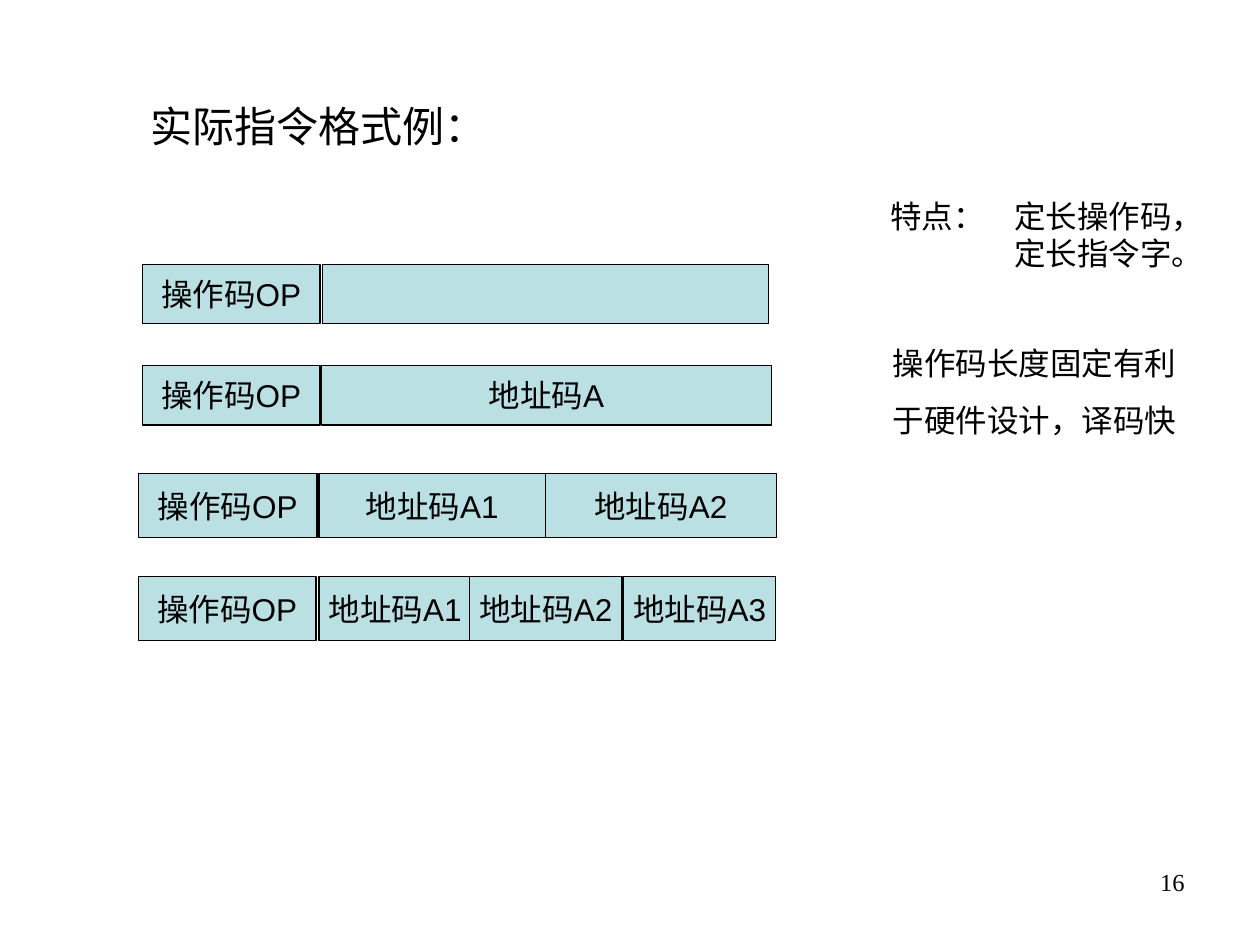
from lxml import etree
from pptx import Presentation
from pptx import util as u
from pptx.dml.color import RGBColor
from pptx.enum import shapes, text
from pptx.oxml.ns import qn

BLACK = RGBColor(0x00, 0x00, 0x00)
WHITE = RGBColor(0xFF, 0xFF, 0xFF)
PALE_TEAL = RGBColor(0xBB, 0xE0, 0xE3)

OPCODE = "操作码OP"
# Each format: top, height, then its fields as (left, width, label), in cm
FORMATS = [
    (5.33, 1.19, [(2.87, 3.58, OPCODE), (6.5, 8.99, "")]),
    (7.37, 1.2, [(2.87, 3.58, OPCODE), (6.48, 9.07, "地址码A")]),
    (9.54, 1.3, [(2.79, 3.6, OPCODE), (6.43, 4.57, "地址码A1"),
                 (11, 4.65, "地址码A2")]),
    (11.62, 1.3, [(2.79, 3.58, OPCODE), (6.43, 3.07, "地址码A1"),
                  (9.47, 3.07, "地址码A2"), (12.57, 3.07, "地址码A3")]),
]


class SlideBuilder:
    font = "Arial"
    size = 18

    def __init__(self, prs):
        self.s = prs.slides.add_slide(prs.slide_layouts[6])
        self.s.background.fill.solid()
        self.s.background.fill.fore_color.rgb = WHITE

    def add_lines(self, p, lines, size=None, font=None):
        """Add one run per line, with a line break between runs."""
        for i, line in enumerate(lines):
            if i:
                p.add_line_break()
            r = p.add_run()
            r.text = line
            r.font.size = u.Pt(size or self.size)
            r.font.name = font or self.font
            r.font.color.rgb = BLACK

    def text_box(self, left, top, width, height, *lines, size=None, font=None,
                 wrap=True, align=text.PP_ALIGN.LEFT, spacing=None, tab=None):
        box = self.s.shapes.add_textbox(*map(u.Cm, (left, top, width, height)))
        tf = box.text_frame
        tf.word_wrap = wrap
        p = tf.paragraphs[0]
        p.alignment = align
        if spacing:
            p.line_spacing = spacing
        if tab:
            tabs = etree.SubElement(p._p.get_or_add_pPr(), qn("a:tabLst"))
            etree.SubElement(tabs, qn("a:tab"), pos=str(u.Cm(tab)), algn="l")
        self.add_lines(p, lines, size, font)

    def field(self, left, top, width, height, label):
        sp = self.s.shapes.add_shape(shapes.MSO_SHAPE.RECTANGLE,
                                     *map(u.Cm, (left, top, width, height)))
        sp.shadow.inherit = False
        sp.fill.solid()
        sp.fill.fore_color.rgb = PALE_TEAL
        sp.line.color.rgb = BLACK
        sp.line.width = u.Pt(0.75)
        if label:
            tf = sp.text_frame
            tf.word_wrap = False
            tf.vertical_anchor = text.MSO_ANCHOR.MIDDLE
            p = tf.paragraphs[0]
            p.alignment = text.PP_ALIGN.CENTER
            self.add_lines(p, [label])


def main():
    prs = Presentation()
    prs.slide_width, prs.slide_height = u.Cm(25.4), u.Cm(19.05)
    slide = SlideBuilder(prs)

    slide.text_box(2.79, 1.9, 7.26, 1.27, "实际指令格式例：", size=24, wrap=False)
    for top, height, fields in FORMATS:
        for left, width, label in fields:
            slide.field(left, top, width, height, label)

    slide.text_box(17.7, 3.84, 7.09, 1.78,
                   "特点：\t定长操作码，", "\t定长指令字。", tab=2.5)
    slide.text_box(17.75, 6.43, 6.35, 2.54,
                   "操作码长度固定有利于硬件设计，译码快", spacing=1.5)
    slide.text_box(18.21, 17.35, 5.92, 1.32, "16", size=14,
                   font="Times New Roman", align=text.PP_ALIGN.RIGHT)
    prs.save("out.pptx")


if __name__ == "__main__":
    main()
